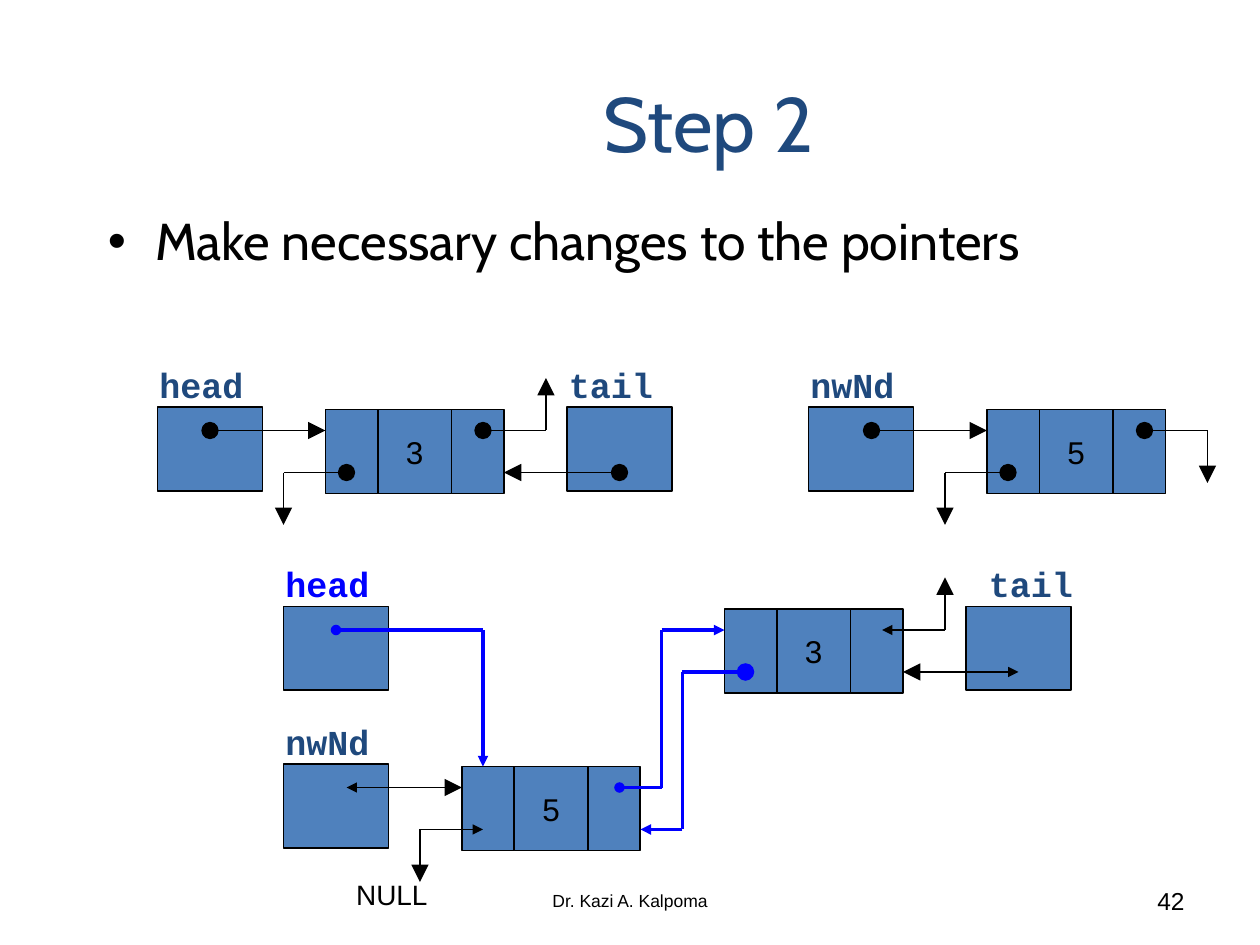
from itertools import pairwise

from lxml.etree import SubElement
from pptx import Presentation
from pptx.dml.color import RGBColor
from pptx.enum.shapes import MSO_CONNECTOR, MSO_SHAPE
from pptx.enum.text import MSO_ANCHOR, PP_ALIGN
from pptx.oxml.ns import qn
from pptx.util import Cm, Pt

COLORS = {"navy": "1F497D", "fill": "4F81BD", "black": "000000", "blue": "0000FF"}
STEP = 2.54 / 12  # centimetres in one grid step
BOX = (10, 8)
CELLS = (5, 7, 5)


def grid(*steps):
    return [Cm(step * STEP) for step in steps]


def color(name):
    return RGBColor.from_string(COLORS[name])


class Board:
    """Draws on one slide; all places are in grid steps."""

    def __init__(self, slide):
        self.shapes = slide.shapes

    def style(self, frame, text, size, font, ink, align, bold=False):
        frame.text = text
        par = frame.paragraphs[0]
        par.alignment = align
        run = par.runs[0].font
        run.size, run.name, run.bold = Pt(size), font, bold
        run.color.rgb = color(ink)
        return par

    def text(self, place, text, size, font="Arial", ink="black",
             align=PP_ALIGN.LEFT, anchor=MSO_ANCHOR.TOP, bold=False):
        frame = self.shapes.add_textbox(*grid(*place)).text_frame
        frame.word_wrap = True
        frame.vertical_anchor = anchor
        return self.style(frame, text, size, font, ink, align, bold)

    def bullet(self, place, text, size, font):
        par = self.text(place, text, size, font)
        par.line_spacing = 0.9
        props = par._p.get_or_add_pPr()
        props.set("marL", str(Cm(0.95)))
        props.set("indent", str(-Cm(0.95)))
        SubElement(SubElement(props, qn("a:buClr")), qn("a:srgbClr"), val=COLORS["black"])
        SubElement(props, qn("a:buFont"), typeface="Arial")
        SubElement(props, qn("a:buChar"), char="•")

    def rect(self, x, y, w, h, text=""):
        shape = self.shapes.add_shape(MSO_SHAPE.RECTANGLE, *grid(x, y, w, h))
        shape.shadow.inherit = False
        shape.fill.solid()
        shape.fill.fore_color.rgb = color("fill")
        shape.line.color.rgb = color("black")
        shape.line.width = Pt(1)
        if text:
            frame = shape.text_frame
            frame.word_wrap = False
            frame.vertical_anchor = MSO_ANCHOR.MIDDLE
            self.style(frame, text, 18, "Arial", "black", PP_ALIGN.CENTER)

    def pointer(self, x, y, name, ink="navy", shift=-1):
        """Named box; y is the top of its label."""
        self.rect(x, y + 4.75, *BOX)
        self.text((x + shift, y, 14, 5.3), name, 20, "Courier New", ink, bold=True)

    def node(self, x, y, value):
        for width, text in zip(CELLS, ("", value, "")):
            self.rect(x, y, width, BOX[1], text)
            x += width

    def link(self, points, head="oval", start="lg", end="lg", ink="black", width=1):
        """Right-angled route with a mark at its start and an arrow at its end."""
        legs = list(pairwise(points))
        for i, (a, b) in enumerate(legs):
            leg = self.shapes.add_connector(MSO_CONNECTOR.STRAIGHT, *grid(*a, *b))
            leg.line.color.rgb = color(ink)
            leg.line.width = Pt(width)
            props = leg._element.spPr
            SubElement(props, qn("a:effectLst"))
            line = props.find(qn("a:ln"))
            if i == 0:
                SubElement(line, qn("a:headEnd"), type=head, w=start, len=start)
            if i == len(legs) - 1:
                SubElement(line, qn("a:tailEnd"), type="triangle", w=end, len=end)


def main():
    deck = Presentation()
    deck.slide_width, deck.slide_height = Cm(25.4), Cm(19.05)
    board = Board(deck.slides.add_slide(deck.slide_layouts[6]))

    board.text((24, 4.2, 87, 14.75), "Step 2", 44, "Cabin", "navy",
               PP_ALIGN.CENTER, MSO_ANCHOR.MIDDLE)
    board.bullet((9.1, 20, 107, 10), "Make necessary changes to the pointers", 29.6, "Cabin")

    for x, y, name in ((15, 34, "head"), (54, 34, "tail"), (77, 34, "nwNd"), (27, 68, "nwNd")):
        board.pointer(x, y, name)
    board.pointer(27, 53, "head", "blue")
    board.pointer(92, 53, "tail", shift=1)
    for x, y, value in ((31, 39, "3"), (94, 39, "5"), (69, 58, "3"), (44, 73, "5")):
        board.node(x, y, value)

    # Lists before the change
    for x in (20, 83):
        board.link([(x, 41), (x + 11, 41)])
        board.link([(x + 13, 45), (x + 7, 45), (x + 7, 50)])
    board.link([(46, 41), (52, 41), (52, 36)])
    board.link([(59, 45), (48, 45)])
    board.link([(109, 41), (115, 41), (115, 46)])

    # Joined list: kept links, then changed links
    for points in (
        [(84, 60), (90, 60), (90, 55)],
        [(97, 64), (86, 64)],
        [(33, 75), (44, 75)],
        [(46, 79), (40, 79), (40, 84)],
    ):
        board.link(points, "triangle", "med")
    for start, points in (
        ("med", [(32, 60), (46, 60), (46, 73)]),
        ("med", [(59, 75), (63, 75), (63, 60), (69, 60)]),
        ("lg", [(71, 64), (65, 64), (65, 79), (61, 79)]),
    ):
        board.link(points, start=start, end="med", ink="blue", width=2)

    board.text((41, 83.4, 38, 4.8), "Dr. Kazi A. Kalpoma", 10,
               align=PP_ALIGN.CENTER, anchor=MSO_ANCHOR.MIDDLE)
    board.text((86, 83.4, 28, 4.8), "42", 14,
               align=PP_ALIGN.RIGHT, anchor=MSO_ANCHOR.MIDDLE)
    board.text((26.8, 83, 15.1, 4.4), "NULL", 16, align=PP_ALIGN.RIGHT)

    deck.save("out.pptx")


if __name__ == "__main__":
    main()
